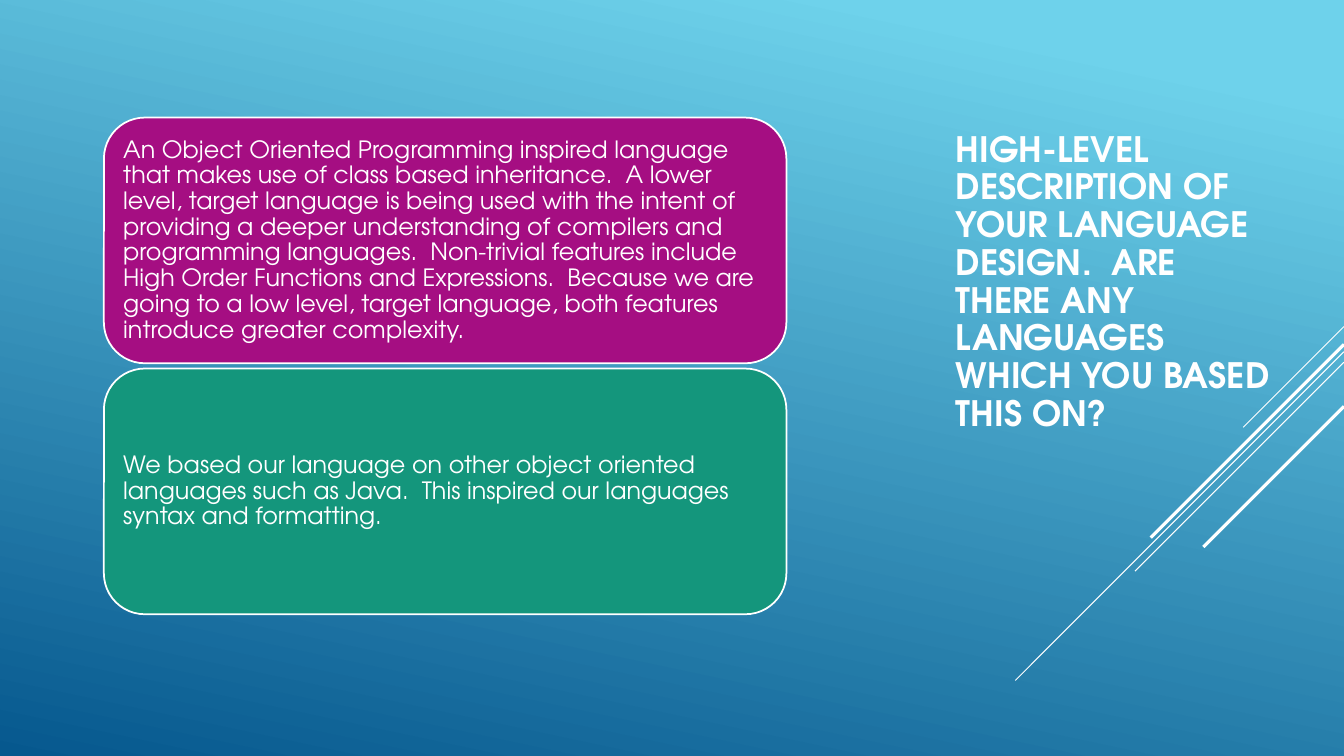
from lxml import etree
from pptx import Presentation
from pptx import util as u
from pptx.dml.color import RGBColor
from pptx.enum import shapes, text
from pptx.oxml.ns import qn

PX = 9525  # EMU per px, 96 px to the inch
W, H = 1280, 720
THEME = dict(
    font="TeX Gyre Adventor", title=25, body=17,
    white=RGBColor.from_string("FFFFFF"),
    sky=RGBColor.from_string("6ED2EB"), sea=RGBColor.from_string("06588E"),
    magenta=RGBColor.from_string("A50E82"), green=RGBColor.from_string("14967C"),
)


def px(*lengths):
    return [u.Emu(n * PX) for n in lengths]


def write(sp, words, size, bold=False):
    tf = sp.text_frame
    tf.word_wrap = True
    tf.vertical_anchor = text.MSO_ANCHOR.MIDDLE
    p = tf.paragraphs[0]
    p.text = words
    p.alignment = text.PP_ALIGN.LEFT
    p.line_spacing = 0.9
    p.font.name, p.font.size, p.font.bold = THEME["font"], u.Pt(size), bold
    p.font.color.rgb = THEME["white"]
    return tf


prs = Presentation()
prs.slide_width, prs.slide_height = px(W, H)
s = prs.slides.add_slide(prs.slide_layouts[6])

# Gradient backdrop
sp = s.shapes.add_shape(shapes.MSO_SHAPE.RECTANGLE, *px(0, 0, W, H))
sp.shadow.inherit = False
sp.line.fill.background()
sp.fill.gradient()
sp.fill.gradient_angle = 258
for stop, position, color in zip(sp.fill.gradient_stops, (0.1, 1), ("sky", "sea")):
    stop.position = position
    stop.color.rgb = THEME[color]

# Diagonal lines running down at 45 degrees from the right edge
for top, run, weight in [(311, 96, 0.75), (335, 313, 0.75), (345, 199, 0.75),
                         (328, 184, 2.25), (387, 134, 2.25)]:
    line = s.shapes.add_connector(shapes.MSO_CONNECTOR.STRAIGHT,
                                  *px(W, top, W - run, top + run))
    line.line.color.rgb = THEME["white"]
    line.line.width = u.Pt(weight)
    etree.SubElement(line._element.spPr, qn("a:effectLst"))

# Title
title = s.shapes.add_textbox(*px(901, 99, 320, 341))
write(title, "HIGH-LEVEL DESCRIPTION OF YOUR LANGUAGE DESIGN.  ARE THERE ANY "
      "LANGUAGES WHICH YOU BASED THIS ON?", THEME["title"], bold=True)

# Stacked cards
cards = [
    ("magenta", "An Object Oriented Programming inspired language that makes use of "
     "class based inheritance.  A lower level, target language is being used with the "
     "intent of providing a deeper understanding of compilers and programming "
     "languages.  Non-trivial features include High Order Functions and Expressions.  "
     "Because we are going to a low level, target language, both features introduce "
     "greater complexity."),
    ("green", "We based our language on other object oriented languages such as Java.  "
     "This inspired our languages syntax and formatting."),
]
CARD_H, GAP = 234, 5
for i, (color, words) in enumerate(cards):
    sp = s.shapes.add_shape(shapes.MSO_SHAPE.ROUNDED_RECTANGLE,
                            *px(99, 112 + i * (CARD_H + GAP), 650, CARD_H))
    sp.shadow.inherit = False
    sp.fill.solid()
    sp.fill.fore_color.rgb = THEME[color]
    sp.line.color.rgb = THEME["white"]
    sp.line.width = u.Pt(1.25)
    tf = write(sp, words, THEME["body"])
    tf.margin_left, tf.margin_top, tf.margin_right, tf.margin_bottom = px(7, 7, 7, 7)

prs.save("out.pptx")
